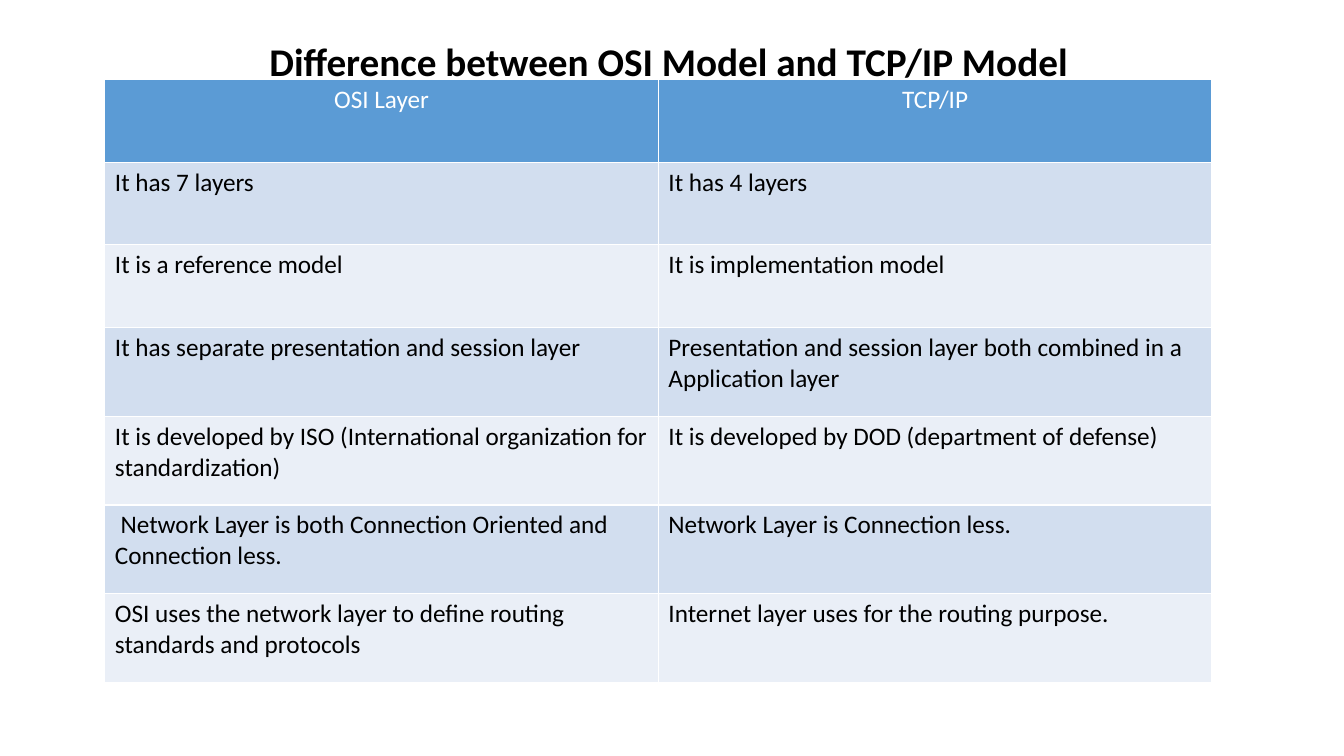
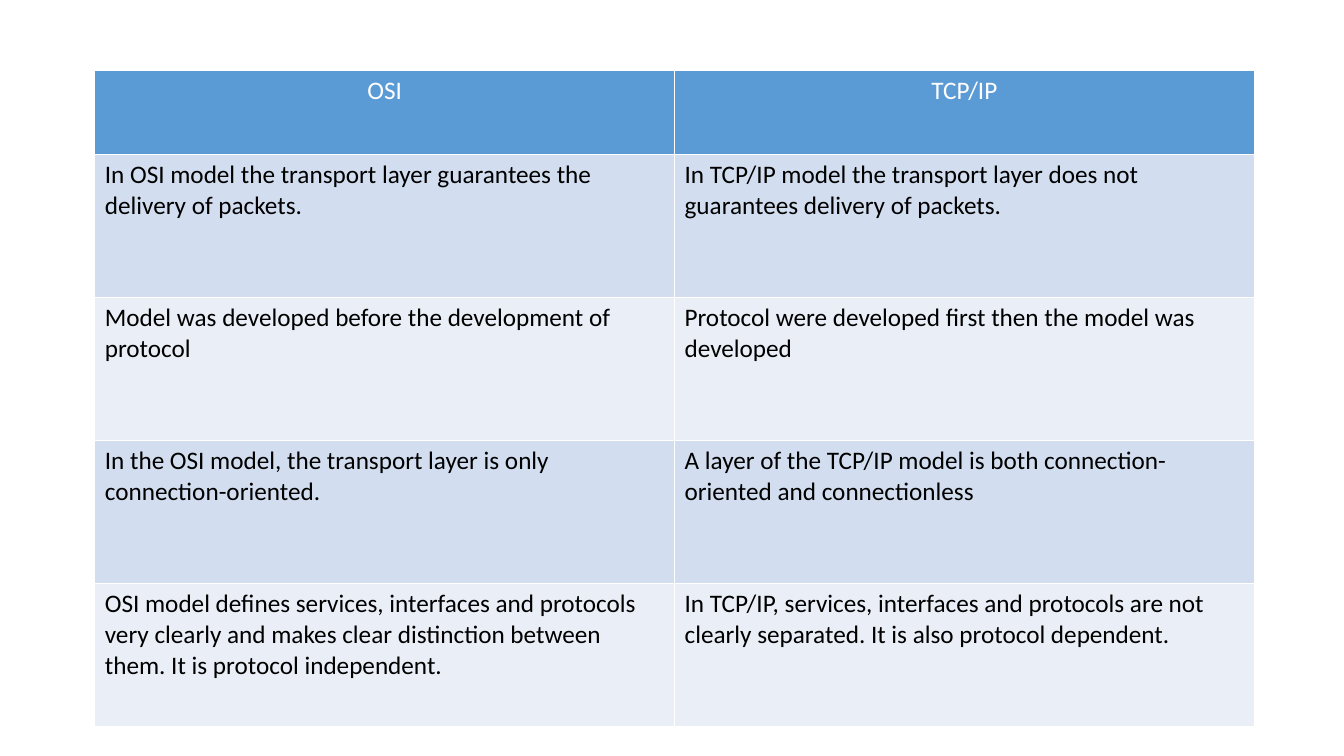
from lxml import etree
from pptx import Presentation
from pptx import util as u
from pptx.dml.color import RGBColor
from pptx.enum import text
from pptx.oxml.ns import qn

COLORS = {
    "text": "000000",
    "header": "5B9BD5",
    "header_text": "FFFFFF",
    "odd_row": "D2DEEF",
    "even_row": "EAEFF7",
    "border": "FFFFFF",
}
FONT = "Calibri"
TITLE_ONLY, BLANK = 5, 6

# Each slide: title, table position, column width, row heights, rows.
SLIDES = [
    {
        "title": "Difference between OSI Model and TCP/IP Model",
        "left": 1.04, "top": 0.79, "column": 5.49,
        "heights": [0.82] * 3 + [0.88] * 4,
        "rows": [
            ("OSI Layer", "TCP/IP"),
            ("It has 7 layers", "It has 4 layers"),
            ("It is a reference model", "It is implementation model"),
            ("It has separate presentation and session layer",
             "Presentation and session layer both combined in a Application layer"),
            ("It is developed by ISO (International organization for standardization)",
             "It is developed by DOD (department of defense)"),
            (" Network Layer is both Connection Oriented and Connection less.",
             "Network Layer is Connection less."),
            ("OSI uses the network layer to define routing standards and protocols",
             "Internet layer uses for the routing purpose."),
        ],
    },
    {
        "title": None,
        "left": 0.94, "top": 0.7, "column": 5.75,
        "heights": [0.83] + [1.42] * 4,
        "rows": [
            ("OSI", "TCP/IP"),
            ("In OSI model the transport layer guarantees the delivery of packets.",
             "In TCP/IP model the transport layer does not guarantees delivery of packets."),
            ("Model was developed before the development of protocol",
             "Protocol were developed first then the model was developed"),
            ("In the OSI model, the transport layer is only connection-oriented.",
             "A layer of the TCP/IP model is both connection-oriented and connectionless"),
            ("OSI model defines services, interfaces and protocols very clearly and makes "
             "clear distinction between them. It is protocol independent.",
             "In TCP/IP, services, interfaces and protocols are not clearly separated. "
             "It is also protocol dependent."),
        ],
    },
]


def write(frame, words, size=18, color="text", bold=False, centered=False):
    """Put one formatted paragraph into a text frame and return it."""
    para = frame.paragraphs[0]
    para.alignment = text.PP_ALIGN.CENTER if centered else text.PP_ALIGN.LEFT
    span = para.add_run()
    span.text = words
    span.font.name = FONT
    span.font.size = u.Pt(size)
    span.font.bold = bold
    span.font.color.rgb = RGBColor.from_string(COLORS[color])
    return para


def paint_cell(cell, fill):
    """Fill a cell and give it thin borders on all sides."""
    cell.fill.solid()
    cell.fill.fore_color.rgb = RGBColor.from_string(COLORS[fill])
    properties = cell._tc.get_or_add_tcPr()
    for index, side in enumerate(("lnL", "lnR", "lnT", "lnB")):
        line = etree.Element(qn(f"a:{side}"), w=str(u.Pt(1)))
        solid = etree.SubElement(line, qn("a:solidFill"))
        etree.SubElement(solid, qn("a:srgbClr"), val=COLORS["border"])
        properties.insert(index, line)


deck = Presentation()
deck.slide_width = u.Inches(13.33)
deck.slide_height = u.Inches(7.5)

for content in SLIDES:
    layout = TITLE_ONLY if content["title"] else BLANK
    page = deck.slides.add_slide(deck.slide_layouts[layout])

    if content["title"]:
        title = page.shapes.title
        title.left, title.top = u.Inches(0.42), u.Inches(0.37)
        title.width, title.height = u.Inches(12.42), u.Inches(0.55)
        frame = title.text_frame
        frame.auto_size = text.MSO_AUTO_SIZE.NONE
        frame.vertical_anchor = text.MSO_ANCHOR.TOP
        para = write(frame, content["title"], size=28, bold=True, centered=True)
        para.line_spacing = 0.9

    rows, heights = content["rows"], content["heights"]
    table = page.shapes.add_table(
        len(rows), 2, u.Inches(content["left"]), u.Inches(content["top"]),
        u.Inches(2 * content["column"]), u.Inches(sum(heights))).table
    for column in table.columns:
        column.width = u.Inches(content["column"])

    for number, (words, height) in enumerate(zip(rows, heights)):
        table.rows[number].height = u.Inches(height)
        is_header = number == 0
        fill = "header" if is_header else "odd_row" if number % 2 else "even_row"
        for cell, entry in zip(table.rows[number].cells, words):
            paint_cell(cell, fill)
            write(cell.text_frame, entry, centered=is_header,
                  color="header_text" if is_header else "text")

deck.save("out.pptx")
